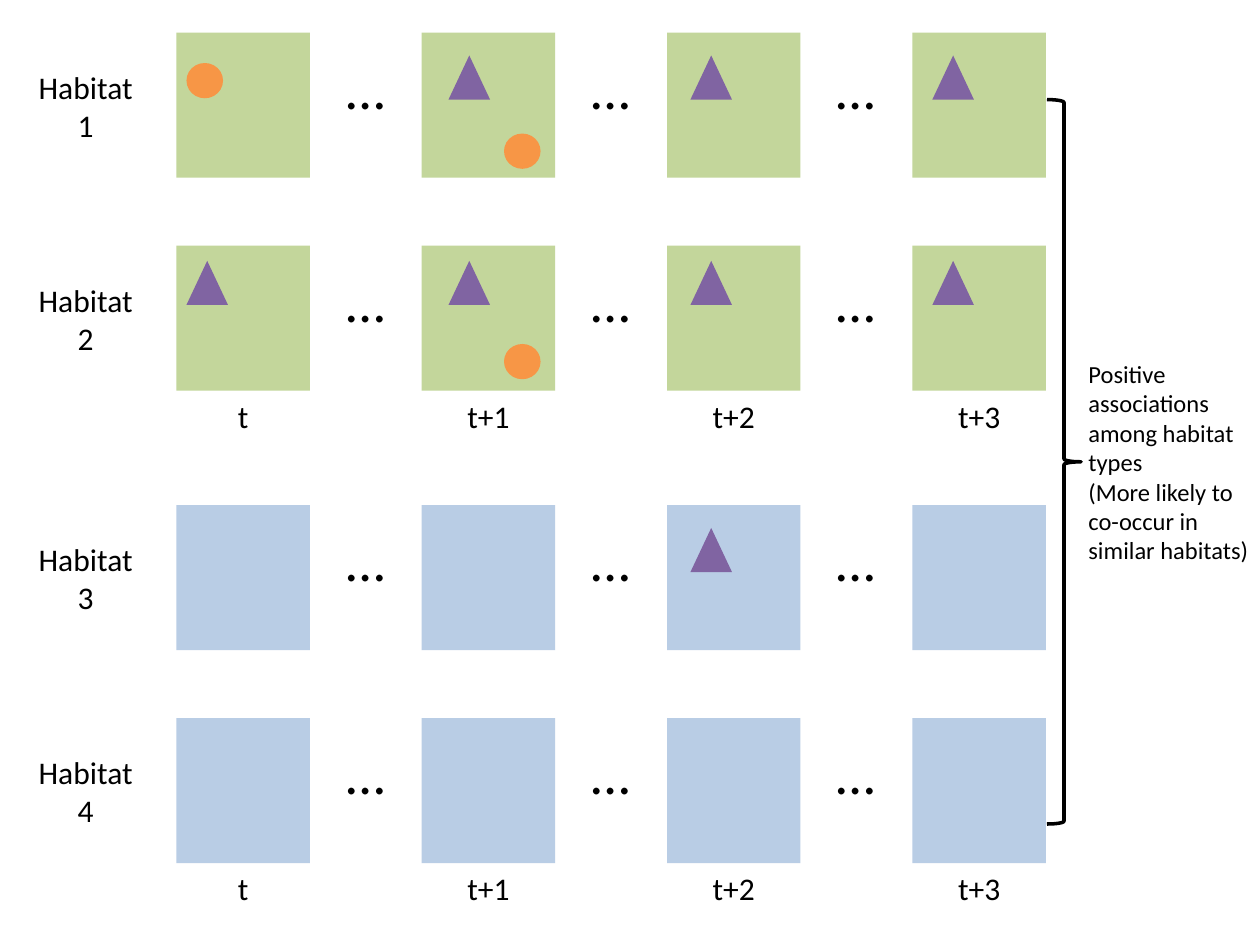
from pptx import Presentation
from pptx.dml.color import RGBColor
from pptx.enum.shapes import MSO_SHAPE
from pptx.enum.text import MSO_ANCHOR, MSO_AUTO_SIZE, PP_ALIGN
from pptx.util import Inches, Pt

GREEN, BLUE, PURPLE, ORANGE = "C3D69B", "B9CDE5", "8064A2", "F79646"
LEFT, PITCH, WIDTH, HEIGHT = 1.4, 1.947, 1.06, 1.15
TIMES = ["t", "t+1", "t+2", "t+3"]


def rgb(value):
    """Turn a hex string into a colour."""
    return RGBColor.from_string(value)


def write(tf, text, size=18, color="000000", font="Calibri", align=PP_ALIGN.CENTER):
    """Fill a text frame with one paragraph per line of text."""
    for i, line in enumerate(text.split("\n")):
        p = tf.paragraphs[0] if i == 0 else tf.add_paragraph()
        p.alignment = align
        r = p.add_run()
        r.text = line
        r.font.name, r.font.size = font, Pt(size)
        r.font.color.rgb = rgb(color)


class Diagram:
    """Hold the current slide and draw the elements of the diagram."""

    def __init__(self, s):
        """Start drawing directly on the slide."""
        self.s = s
        self.shapes = s.shapes

    def group(self):
        """Draw what follows in a new group."""
        self.shapes = self.s.shapes.add_group_shape().shapes

    def ungroup(self):
        """Draw what follows directly on the slide."""
        self.shapes = self.s.shapes

    def shape(self, kind, x, y, w, h, fill=None, line=None):
        """Add a preset shape with an optional fill and outline."""
        sp = self.shapes.add_shape(kind, Inches(x), Inches(y), Inches(w), Inches(h))
        sp.shadow.inherit = False
        if fill:
            sp.fill.solid()
            sp.fill.fore_color.rgb = rgb(fill)
        else:
            sp.fill.background()
        if line:
            sp.line.color.rgb = rgb(line)
            sp.line.width = Pt(2)
        else:
            sp.line.fill.background()

    def text(self, text, x, y, w, h, wrap=False, anchor=MSO_ANCHOR.TOP, **fmt):
        """Add a text box that grows with its text."""
        sp = self.shapes.add_textbox(Inches(x), Inches(y), Inches(w), Inches(h))
        tf = sp.text_frame
        tf.word_wrap = wrap
        tf.auto_size = MSO_AUTO_SIZE.SHAPE_TO_FIT_TEXT
        tf.vertical_anchor = anchor
        write(tf, text, **fmt)

    def triangle(self, x, y):
        """Add a triangle species marker."""
        self.shape(MSO_SHAPE.ISOSCELES_TRIANGLE, x, y, 0.33, 0.35, PURPLE)

    def circle(self, x, y):
        """Add a circle species marker."""
        self.shape(MSO_SHAPE.OVAL, x, y, 0.29, 0.28, ORANGE)

    def habitat(self, number, top, fill):
        """Add a labelled row of squares joined by ellipses."""
        self.text(f"Habitat\n{number}", 0.2, top + 0.23, 0.96, 0.71)
        for col in range(len(TIMES)):
            x = LEFT + col * PITCH
            self.shape(MSO_SHAPE.RECTANGLE, x, top, WIDTH, HEIGHT, fill)
            if col:
                self.text("…", x - 0.7, top + 0.11, 0.51, 0.64,
                          anchor=MSO_ANCHOR.MIDDLE, size=32)

    def times(self, top):
        """Add the time labels below a row."""
        for col, label in enumerate(TIMES):
            w = 0.54 if col else 0.29
            center = LEFT + col * PITCH + WIDTH / 2
            self.text(label, center - w / 2, top, w, 0.4)

    def block(self, first, top, fill):
        """Add a group of two habitats sharing one set of time labels."""
        self.group()
        for i in range(2):
            self.habitat(first + i, top + 1.69 * i, fill)
        self.times(top + 1.69 + HEIGHT)


prs = Presentation()
prs.slide_width, prs.slide_height = Inches(10), Inches(7.5)
d = Diagram(prs.slides.add_slide(prs.slide_layouts[6]))

d.block(3, 4.01, BLUE)
d.triangle(5.48, 4.19)

d.ungroup()
d.shape(MSO_SHAPE.RIGHT_BRACE, 8.31, 0.79, 0.27, 5.75, line="000000")
d.text("Positive associations among habitat types\n"
       "(More likely to co-occur in similar habitats)",
       8.54, 2.79, 1.54, 1.75, wrap=True, anchor=MSO_ANCHOR.MIDDLE,
       size=14, align=PP_ALIGN.LEFT)

d.block(1, 0.26, GREEN)
for x in (3.56, 5.48, 7.4):
    d.triangle(x, 0.44)
for x in (1.48, 3.56, 5.48, 7.4):
    d.triangle(x, 2.07)
for x, y in ((1.48, 0.5), (4, 1.06), (4, 2.73)):
    d.circle(x, y)

prs.save("out.pptx")
